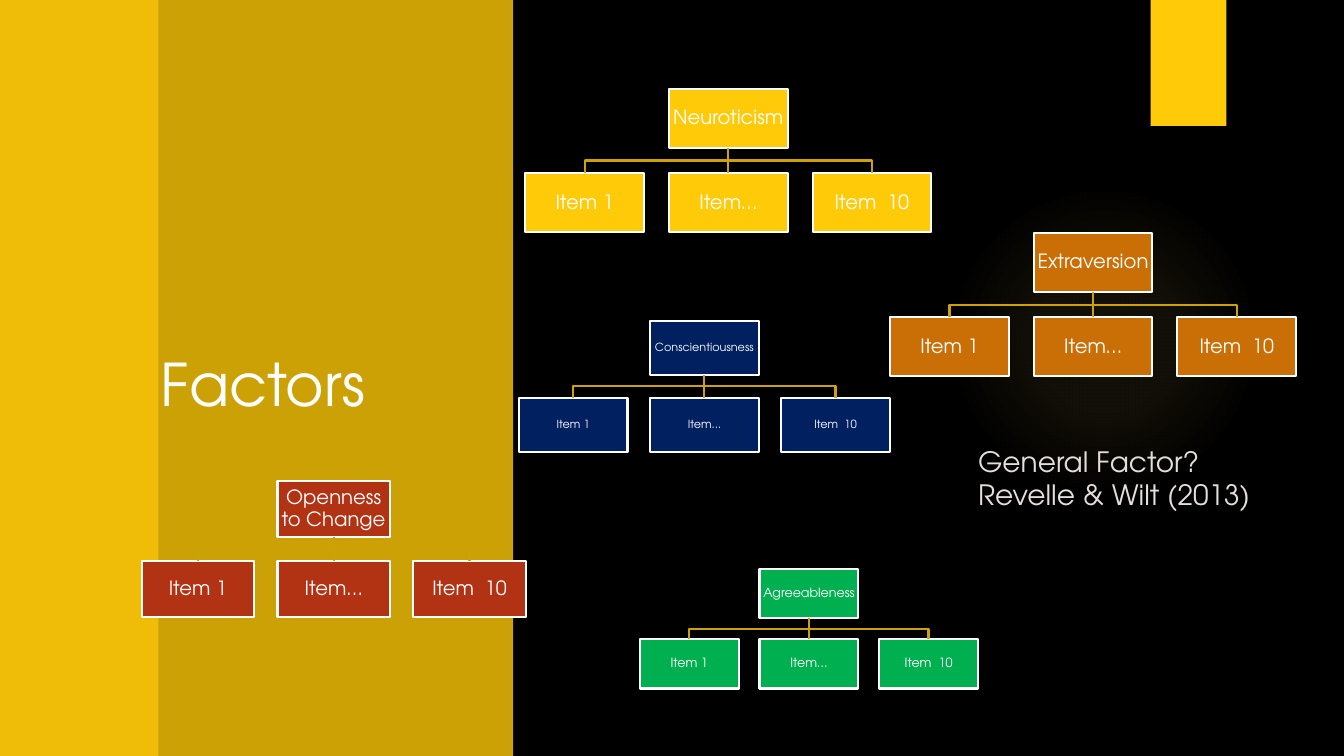
from lxml import etree
from pptx import Presentation
from pptx.dml.color import RGBColor
from pptx.enum.shapes import MSO_CONNECTOR, MSO_SHAPE
from pptx.enum.text import MSO_ANCHOR, MSO_AUTO_SIZE, PP_ALIGN
from pptx.oxml import parse_xml
from pptx.oxml.ns import nsdecls, qn
from pptx.util import Inches, Pt

RECTANGLE = MSO_SHAPE.RECTANGLE
OVAL = MSO_SHAPE.OVAL
STRAIGHT = MSO_CONNECTOR.STRAIGHT
LEFT = PP_ALIGN.LEFT
CENTER = PP_ALIGN.CENTER
TOP = MSO_ANCHOR.TOP
MIDDLE = MSO_ANCHOR.MIDDLE
NO_AUTOFIT = MSO_AUTO_SIZE.NONE

BLACK = RGBColor(0x00, 0x00, 0x00)
WHITE = RGBColor(0xFF, 0xFF, 0xFF)
CREAM = RGBColor(0xE5, 0xDE, 0xDB)
YELLOW = RGBColor(0xFF, 0xCA, 0x08)
GOLD = RGBColor(0xCC, 0xA2, 0x06)
PALE_YELLOW = RGBColor(0xFF, 0xDF, 0x6B)
ORANGE = RGBColor(0xCA, 0x6F, 0x06)
NAVY = RGBColor(0x00, 0x20, 0x60)
RED = RGBColor(0xB2, 0x32, 0x14)
GREEN = RGBColor(0x00, 0xB0, 0x50)

FONT = "TeX Gyre Adventor"
SLIDE_WIDTH = Inches(13.33)
SLIDE_HEIGHT = Inches(7.5)
COLUMNS, ROWS = 160, 90
CELL = SLIDE_HEIGHT / ROWS

BOX_ASPECT = 0.5
SIBLING_PITCH = 1.21
LEVEL_PITCH = 0.71
ITEMS = ("Item 1", "Item…", "Item  10")

FACTORS = (
    ("Extraversion", 130.1, 27.72, 14.13, ORANGE, 14),
    ("Neuroticism", 86.68, 10.56, 14.13, YELLOW, 14),
    ("Conscientiousness", 83.84, 38.2, 12.9, NAVY, 8),
    ("Openness to Change", 39.72, 57.27, 13.36, RED, 14),
    ("Agreeableness", 96.28, 67.73, 11.77, GREEN, 9),
)


def cells(*lengths):
    return [round(length * CELL) for length in lengths]


def add_block(shapes, kind, area, color, opacity=100):
    block = shapes.add_shape(kind, *cells(*area))
    block.shadow.inherit = False
    block.line.fill.background()
    block.fill.solid()
    block.fill.fore_color.rgb = color
    if opacity < 100:
        color_element = block.fill._xPr.find(qn("a:solidFill"))[0]
        etree.SubElement(color_element, qn("a:alpha"), val=str(opacity * 1000))
    return block


def add_glow(shapes, area):
    glow = add_block(shapes, OVAL, area, PALE_YELLOW)
    stops = "".join(
        f'<a:gs pos="{position * 1000}"><a:srgbClr val="{PALE_YELLOW}">'
        f'<a:alpha val="{opacity * 1000}"/></a:srgbClr></a:gs>'
        for position, opacity in ((0, 7), (36, 6), (69, 0))
    )
    gradient = parse_xml(
        f'<a:gradFill {nsdecls("a")}><a:gsLst>{stops}</a:gsLst><a:path path="circle">'
        '<a:fillToRect l="50000" t="50000" r="50000" b="50000"/></a:path></a:gradFill>'
    )
    properties = glow.fill._xPr
    properties.replace(properties.find(qn("a:solidFill")), gradient)


def write_text(shape, text, size, color, alignment=CENTER, anchor=MIDDLE):
    frame = shape.text_frame
    frame.word_wrap = True
    frame.auto_size = NO_AUTOFIT
    frame.vertical_anchor = anchor
    paragraph = frame.paragraphs[0]
    paragraph.text = text
    paragraph.alignment = alignment
    paragraph.font.name = FONT
    paragraph.font.size = Pt(size)
    paragraph.font.color.rgb = color
    return frame


def add_box(shapes, text, center, top, width, color, size):
    box = add_block(
        shapes, RECTANGLE, (center - width / 2, top, width, width * BOX_ASPECT), color
    )
    box.line.color.rgb = WHITE
    box.line.width = Pt(1.5)
    frame = write_text(box, text, size, WHITE)
    frame.margin_left = frame.margin_right = Inches(0.01)
    frame.margin_top = frame.margin_bottom = Inches(0.01)
    frame.paragraphs[0].line_spacing = 0.9
    return box


def format_branch(branch):
    branch.line.color.rgb = GOLD
    branch.line.width = Pt(1.5)


def add_straight_branch(shapes, parent, child):
    branch = shapes.add_connector(STRAIGHT, 0, 0, 0, 0)
    branch.begin_connect(parent, 2)
    branch.end_connect(child, 0)
    etree.SubElement(branch.line._get_or_add_ln().getparent(), qn("a:effectLst"))
    format_branch(branch)


def add_bent_branch(shapes, parent, child):
    start_x = parent.left + parent.width // 2
    start_y = parent.top + parent.height
    end_x = child.left + child.width // 2
    middle_y = (start_y + child.top) // 2
    builder = shapes.build_freeform(start_x, start_y)
    builder.add_line_segments(
        [(start_x, middle_y), (end_x, middle_y), (end_x, child.top)], close=False
    )
    branch = builder.convert_to_shape()
    branch.shadow.inherit = False
    branch.fill.background()
    format_branch(branch)


def add_factor_tree(slide, name, center, top, width, color, size):
    shapes = slide.shapes.add_group_shape().shapes
    parent = add_box(shapes, name, center, top, width, color, size)
    for position, item in enumerate(ITEMS, start=-1):
        child_center = center + position * SIBLING_PITCH * width
        child_top = top + LEVEL_PITCH * width
        child = add_box(shapes, item, child_center, child_top, width, color, size)
        add_branch = add_bent_branch if position else add_straight_branch
        add_branch(shapes, parent, child)


def place_title(slide):
    title = slide.shapes.title
    title.left, title.top, title.width, title.height = cells(115.2, 52.3, 42.7, 10.3)
    write_text(title, "General Factor?\nRevelle & Wilt (2013)", 20, CREAM, LEFT, TOP)


def main():
    presentation = Presentation()
    presentation.slide_width = SLIDE_WIDTH
    presentation.slide_height = SLIDE_HEIGHT
    slide = presentation.slides.add_slide(presentation.slide_layouts[5])
    slide.background.fill.solid()
    slide.background.fill.fore_color.rgb = BLACK
    shapes = slide.shapes

    add_glow(shapes, (112.9, 22, 37, 37))
    add_block(shapes, RECTANGLE, (136.95, 0, 9, 15), YELLOW)
    add_block(shapes, RECTANGLE, (0, 0, 61.07, ROWS), YELLOW, 80)
    add_block(shapes, RECTANGLE, (0, 0, 18.87, ROWS), YELLOW, 70)

    heading = shapes.add_textbox(*cells(5.76, 9.12, 51.12, 72.96))
    write_text(heading, "Factors", 42, WHITE)
    place_title(slide)

    for factor in FACTORS:
        add_factor_tree(slide, *factor)
    presentation.save("out.pptx")


if __name__ == "__main__":
    main()
